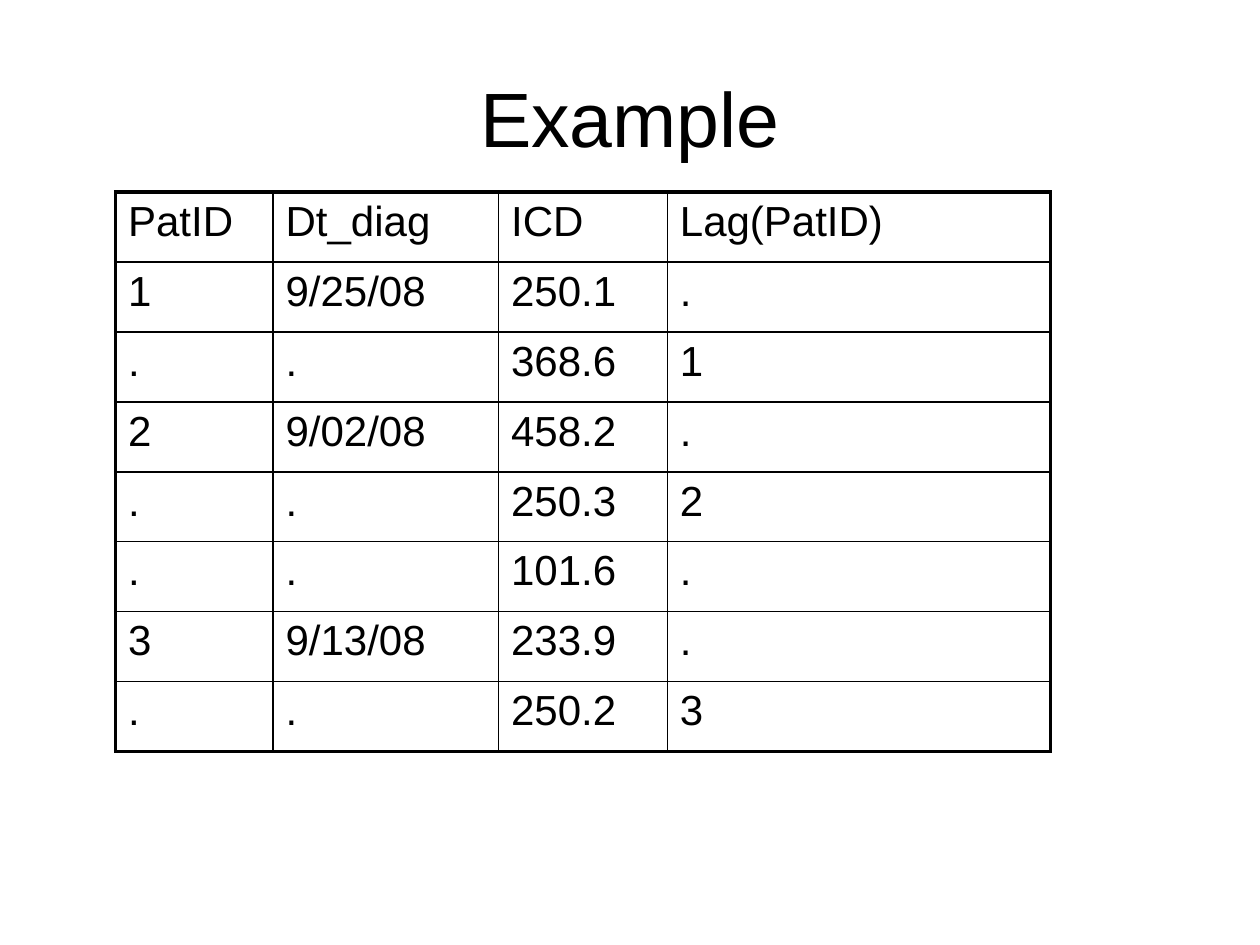
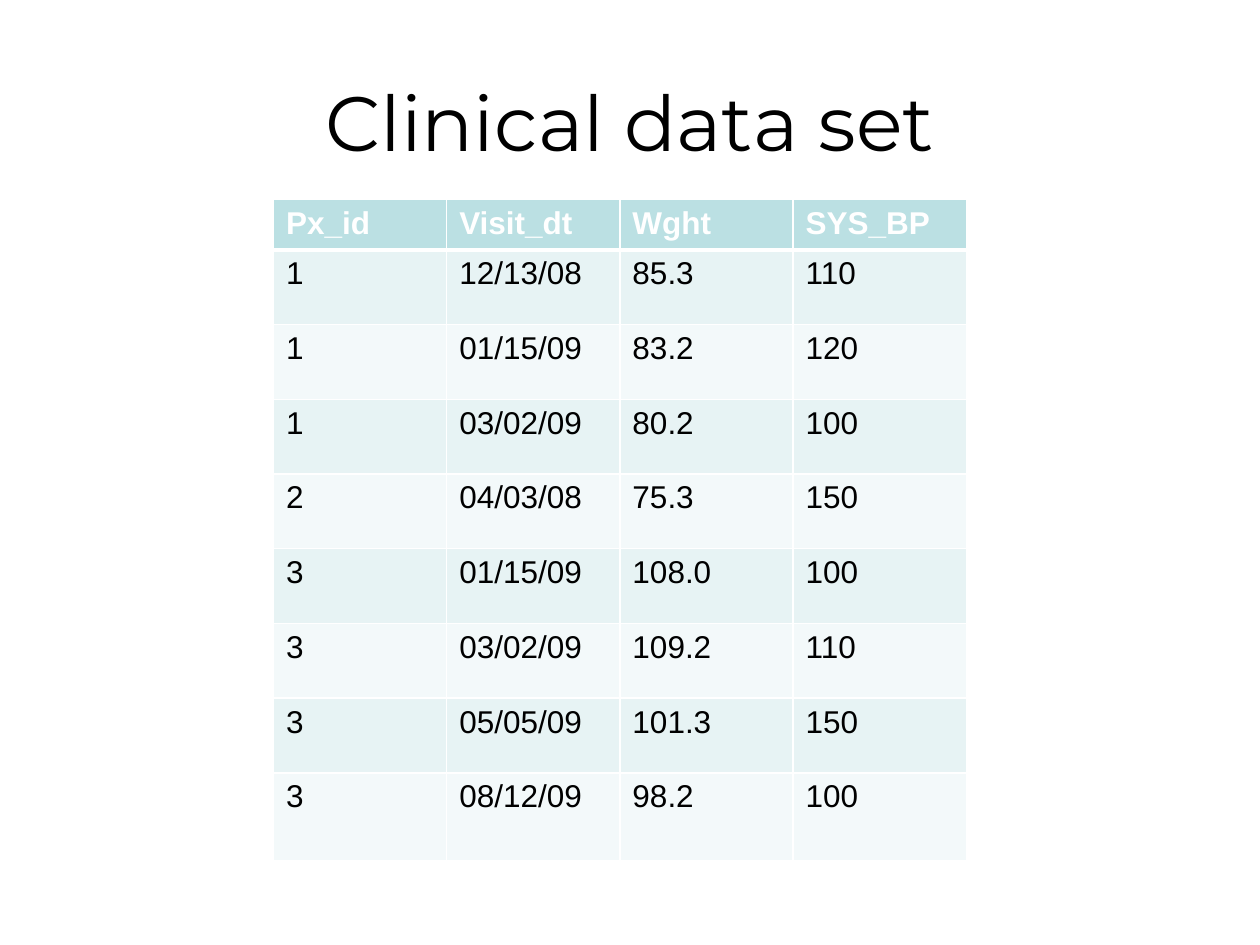
from pptx import Presentation
from pptx.dml.color import RGBColor as Rgb
from pptx.enum.text import MSO_ANCHOR as Anchor, PP_ALIGN as Align
from pptx.oxml.ns import qn
from pptx.util import Inches, Pt
from lxml.etree import SubElement as Sub

HUES = {
    "ink": "000000",
    "paper": "FFFFFF",
    "head": "BBE0E3",
    "odd": "E7F3F4",
    "even": "F3F9FA",
}
COLS, ROWS = 100, 75


class Deck:
    def __init__(self):
        self.deck = Presentation()
        self.deck.slide_width = Inches(10)
        self.deck.slide_height = Inches(7.5)
        self.page = None

    def x(self, cols):
        return round(self.deck.slide_width * cols / COLS)

    def y(self, rows):
        return round(self.deck.slide_height * rows / ROWS)

    def slide(self):
        self.page = self.deck.slides.add_slide(self.deck.slide_layouts[6])
        fill = self.page.background.fill
        fill.solid()
        fill.fore_color.rgb = Rgb.from_string(HUES["paper"])

    def style(self, para, size, hue="ink", face="Arial", bold=False):
        font = para.font
        font.size, font.name, font.bold = Pt(size), face, bold
        font.color.rgb = Rgb.from_string(HUES[hue])

    def title(self, text, top, face):
        box = self.page.shapes.add_textbox(
            self.x(5), self.y(top), self.x(90), self.y(12.5))
        frame = box.text_frame
        frame.word_wrap = True
        frame.vertical_anchor = Anchor.MIDDLE
        para = frame.paragraphs[0]
        para.text, para.alignment = text, Align.CENTER
        self.style(para, 44, face=face)

    def edges(self, cell, hue, widths):
        props = cell._tc.get_or_add_tcPr()
        for side, width in zip("LRTB", widths):
            line = Sub(props, qn(f"a:ln{side}"), w=str(Pt(width)))
            fill = Sub(line, qn("a:solidFill"))
            Sub(fill, qn("a:srgbClr"), val=HUES[hue])

    def table(self, left, top, wides, highs, data, look):
        table = self.page.shapes.add_table(
            len(highs), len(wides), self.x(left), self.y(top),
            self.x(sum(wides)), self.y(sum(highs))).table
        table.first_row = table.horz_banding = False
        for col, wide in zip(table.columns, wides):
            col.width = self.x(wide)
        for row, high in zip(table.rows, highs):
            row.height = self.y(high)
        for r, line in enumerate(data):
            for c, text in enumerate(line.split()):
                cell = table.cell(r, c)
                cell.text = text
                look(cell, r, c, len(highs) - 1, len(wides) - 1)

    def framed(self, cell, r, c, last, end):
        self.style(cell.text_frame.paragraphs[0], 24)
        outer = (c == 0, c == end, r == 0, r == last)
        self.edges(cell, "ink", [2.25 if out else 1 for out in outer])
        cell.fill.background()

    def banded(self, cell, r, c, last, end):
        head = r == 0
        hue = "paper" if head else "ink"
        self.style(cell.text_frame.paragraphs[0], 18, hue, bold=head)
        self.edges(cell, "paper", (1, 1, 3 if r == 1 else 1, 3 if head else 1))
        cell.fill.solid()
        band = "head" if head else "odd" if r % 2 else "even"
        cell.fill.fore_color.rgb = Rgb.from_string(HUES[band])


LAGS = [
    "PatID Dt_diag ICD Lag(PatID)",
    "1 9/25/08 250.1 .",
    ". . 368.6 1",
    "2 9/02/08 458.2 .",
    ". . 250.3 2",
    ". . 101.6 .",
    "3 9/13/08 233.9 .",
    ". . 250.2 3",
]
VISITS = [
    "Px_id Visit_dt Wght SYS_BP",
    "1 12/13/08 85.3 110",
    "1 01/15/09 83.2 120",
    "1 03/02/09 80.2 100",
    "2 04/03/08 75.3 150",
    "3 01/15/09 108.0 100",
    "3 03/02/09 109.2 110",
    "3 05/05/09 101.3 150",
    "3 08/12/09 98.2 100",
]


def main():
    show = Deck()
    show.slide()
    show.title("Example", 3, "Arial")
    show.table(9.17, 15.25, [12.5, 17.9, 13.4, 30.4], [5.55] * 8,
               LAGS, show.framed)
    show.slide()
    show.title("Clinical data set", 3.3, "Montserrat")
    show.table(21.7, 15.83, [13.75] * 4, [4] + [5.93] * 7 + [7],
               VISITS, show.banded)
    show.deck.save("out.pptx")


if __name__ == "__main__":
    main()
